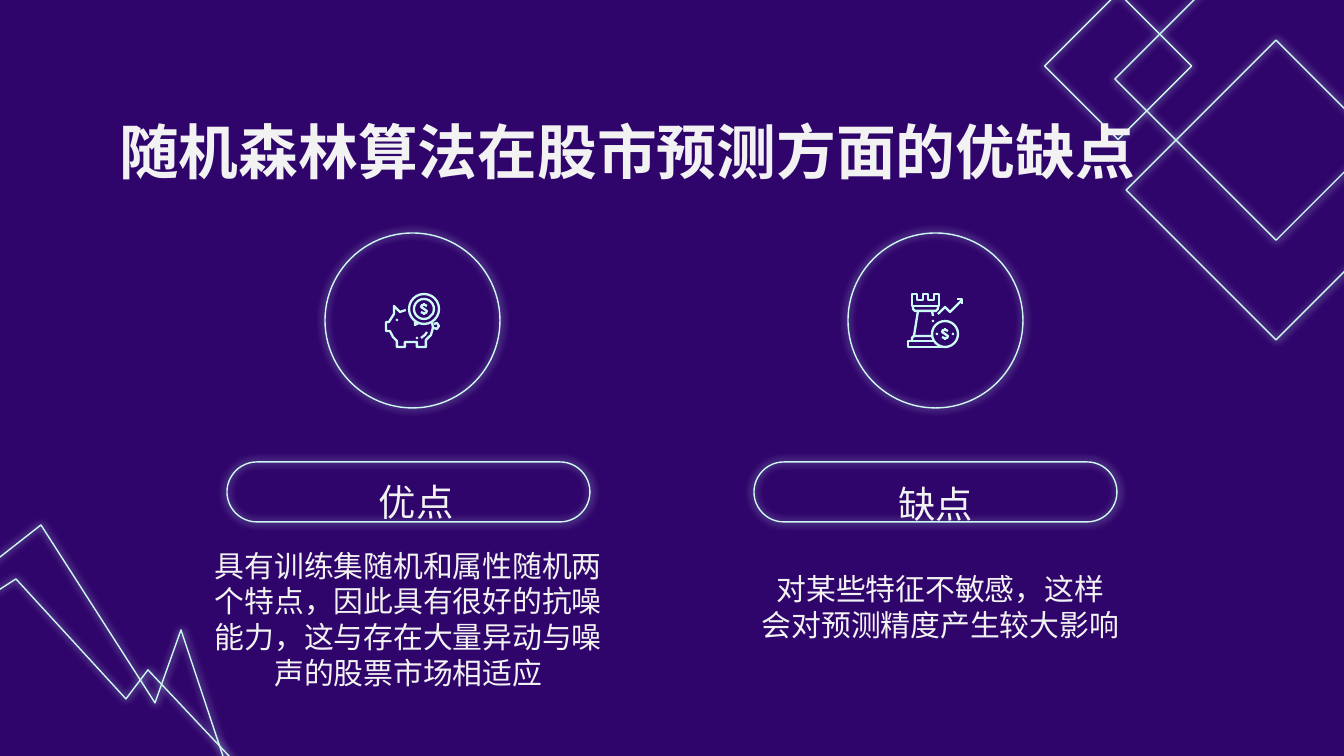
from lxml import etree
from pptx import Presentation
from pptx import util as u
from pptx.dml.color import RGBColor
from pptx.enum import shapes, text
from pptx.oxml.ns import qn

PX = 914400 / 134.4
FONT = "Noto Sans CJK SC"
HUES = {"back": "2F046B", "line": "CDF8F4", "text": "F2F2F2"}
KIND = shapes.MSO_SHAPE


def trace(shape, width=0.75, glow=True):
    """Leave the shape unfilled, with a thin line and a soft halo if glow."""
    shape.fill.background()
    shape.line.color.rgb = RGBColor.from_string(HUES["line"])
    shape.line.width = u.Pt(width)
    shape.shadow.inherit = False
    if glow:
        halo = etree.SubElement(
            shape._element.spPr.find(qn("a:effectLst")), qn("a:outerShdw"),
            blurRad=str(u.Pt(4.5)), dist="0", algn="ctr", rotWithShape="0")
        etree.SubElement(halo, qn("a:srgbClr"), val=HUES["line"])


def draw(dots, closed=False):
    pen = slide.shapes.build_freeform(*dots[0], scale=PX)
    pen.add_line_segments(dots[1:], close=closed)
    return pen.convert_to_shape()


deck = Presentation()
deck.slide_width, deck.slide_height = round(1344 * PX), round(756 * PX)
slide = deck.slides.add_slide(deck.slide_layouts[6])
slide.background.fill.solid()
slide.background.fill.fore_color.rgb = RGBColor.from_string(HUES["back"])

# Pills, rings and tilted squares: kind, left, top, width, height, turn
frames = [
    (KIND.ROUNDED_RECTANGLE, 227, 462, 363, 60, 0),
    (KIND.ROUNDED_RECTANGLE, 754, 462, 363, 60, 0),
    (KIND.OVAL, 325, 233, 175, 175, 0),
    (KIND.OVAL, 848, 233, 175, 175, 0),
    (KIND.RECTANGLE, 1162, -35, 228, 228, 135),
    (KIND.RECTANGLE, 1066, 14, 104, 104, 135),
    (KIND.RECTANGLE, 1170, 84, 212, 212, 135),
]
for kind, *box, turn in frames:
    frame = slide.shapes.add_shape(kind, *[round(n * PX) for n in box])
    frame.rotation = turn
    if kind == KIND.ROUNDED_RECTANGLE:
        frame.adjustments[0] = 0.5
    trace(frame)

# Jagged lines in the lower left corner
trace(draw([(-99, 653), (16, 579), (126, 699), (148, 670), (261, 790)]))
trace(draw([(-125, 655), (41, 525), (155, 703), (181, 630), (235, 792)]))

# Text: box, size, bold, line spacing, paragraphs
title = (106, 66, 1133, 85)
blocks = [
    (title, 32, True, 1.5, ["随机森林算法在股市预测方面的优缺点"]),
    ((261, 468, 310, 44), 20, False, 1.5, ["优点"]),
    ((198, 548, 421, 142), 16, False, 1,
     ["具有训练集随机和属性随机两个特点，因此具有很好的抗噪能力，"
      "这与存在大量异动与噪声的股票市场相适应"]),
    ((781, 470, 310, 44), 20, False, 1.5, ["缺点"]),
    ((745, 536, 391, 142), 16, False, 1,
     ["对某些特征不敏感，这样", "会对预测精度产生较大影响"]),
]
for box, size, bold, space, lines in blocks:
    frame = slide.shapes.add_textbox(*[round(n * PX) for n in box]).text_frame
    frame.word_wrap = True
    frame.margin_left = frame.margin_right = u.Inches(0.1)
    frame.margin_top = frame.margin_bottom = u.Inches(0.1)
    head = box == title
    frame.vertical_anchor = (text.MSO_ANCHOR.TOP if head
                             else text.MSO_ANCHOR.MIDDLE)
    for i, line in enumerate(lines):
        para = frame.paragraphs[0] if i == 0 else frame.add_paragraph()
        para.alignment = text.PP_ALIGN.LEFT if head else text.PP_ALIGN.CENTER
        para.line_spacing = float(space)
        run = para.add_run()
        run.text = line
        font = run.font
        font.name, font.size, font.bold = FONT, u.Pt(size), bold
        font.color.rgb = RGBColor.from_string(HUES["text"])
        etree.SubElement(font._element, qn("a:ea"), typeface=FONT)

# Icon strokes: piggy bank, then rook with a rising arrow
strokes = [
    [(406, 310), (400, 312), (394, 306), (394, 314), (389, 322), (386, 322),
     (386, 331), (390, 331), (393, 337), (397, 341), (397, 347), (405, 347),
     (405, 342), (417, 342), (417, 347), (426, 347), (426, 340), (431, 335),
     (433, 328), (432, 321)],
    [(434, 328), (437, 329), (439, 326), (437, 323), (434, 324)],
    [(415, 320), (415, 325), (419, 323)],
    [(427, 332), (425, 335), (421, 338)],
    [(913, 306), (913, 309), (915, 311), (936, 311), (938, 309), (938, 306)],
    [(918, 311), (914, 336)],
    [(932, 311), (933, 316)],
    [(932, 336), (914, 336), (912, 338), (912, 341)],
    [(934, 341), (908, 341), (908, 347), (945, 347)],
    [(938, 314), (945, 307), (950, 312), (962, 300)],
    [(957, 299), (962, 299), (962, 304)],
]
dollar = [
    [(3, -3), (1, -4), (-2, -4), (-3, -2), (3, 2), (2, 4), (-1, 4), (-3, 3)],
    [(0, -6), (0, -4)],
    [(0, 4), (0, 6)],
]
coins = [(424, 309, (15, 10)), (945, 334, (13,))]
for x, y, radii in coins:
    strokes += [[(x + a, y + b) for a, b in part] for part in dollar]
    for r in radii:
        coin = slide.shapes.add_shape(
            KIND.OVAL, *[round(n * PX) for n in (x - r, y - r, 2 * r, 2 * r)])
        trace(coin, 1.25, False)
for dots in strokes:
    trace(draw(dots), 1.25, False)

wall = [(912, 294), (917, 294), (917, 300), (923, 300), (923, 294), (928, 294),
        (928, 300), (934, 300), (934, 294), (939, 294), (939, 306), (912, 306)]
trace(draw(wall, True), 1.25, False)

for x, y in [(397, 320), (417, 338), (933, 321), (937, 334), (953, 334)]:
    dot = slide.shapes.add_shape(
        KIND.OVAL, *[round(n * PX) for n in (x - 1, y - 1, 2, 2)])
    trace(dot, 0.25, False)
    dot.fill.solid()
    dot.fill.fore_color.rgb = RGBColor.from_string(HUES["line"])

deck.save("out.pptx")
